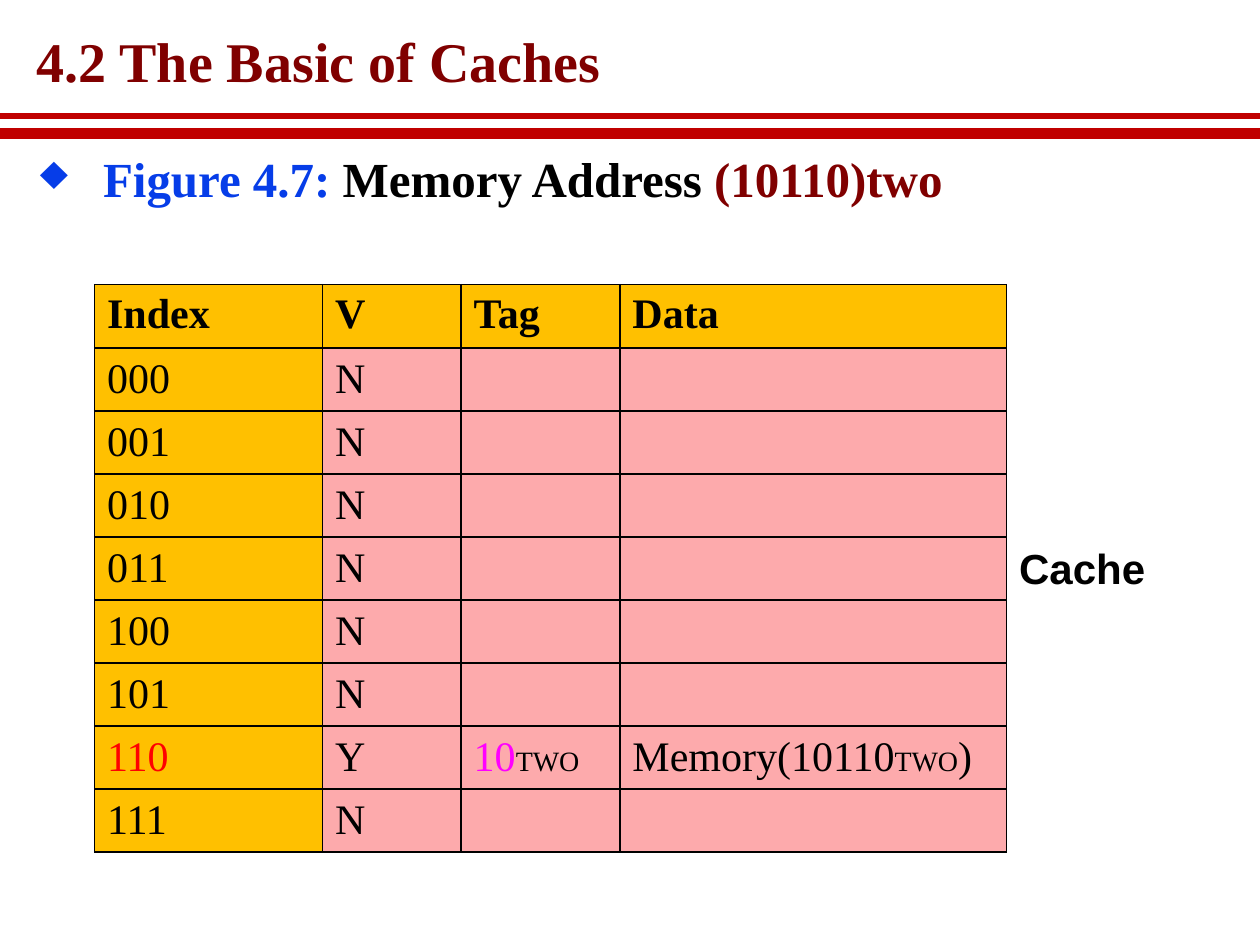
from lxml.etree import SubElement
from pptx import Presentation
from pptx.dml.color import RGBColor
from pptx.enum.shapes import MSO_CONNECTOR
from pptx.enum.text import MSO_ANCHOR, PP_ALIGN
from pptx.oxml.ns import qn
from pptx.util import Inches, Pt

SERIF, SANS = "Times New Roman", "Arial"
BLACK, MAROON, BLUE, RED, PINK = "000000", "800000", "063DE8", "FF0000", "FF00FF"
GOLD, ROSE, RULE = "FFC000", "FDAAAC", "C00000"

TITLE = "4.2 The Basic of Caches"
LEAD = [("Figure 4.7: ", BLUE), ("Memory Address ", BLACK), ("(10110)two", MAROON)]
RULES = [(0.92, 3), (1.06, 6)]
HEAD = ["Index", "V", "Tag", "Data"]
HIT = "110"
TAG = [("10", 24, PINK), ("TWO", 16, BLACK)]
DATA = [("Memory(10110", 24, BLACK), ("TWO", 16, BLACK), (")", 24, BLACK)]
COLS = [1.81, 1.1, 1.26, 3.07]
ROW = 0.5


def color(text):
    return RGBColor.from_string(text)


def add_run(para, text, size, tint=BLACK, bold=False, face=SERIF):
    run = para.add_run()
    run.text = text
    font = run.font
    font.name, font.size, font.bold = face, Pt(size), bold
    font.color.rgb = color(tint)


def add_box(slide, left, top, width, height, wrap):
    box = slide.shapes.add_textbox(*map(Inches, (left, top, width, height)))
    box.text_frame.word_wrap = wrap
    return box.text_frame.paragraphs[0]


def add_rule(slide, wide, top, weight):
    line = slide.shapes.add_connector(
        MSO_CONNECTOR.STRAIGHT, 0, Inches(top), wide, Inches(top))
    line.line.color.rgb = color(RULE)
    line.line.width = Pt(weight)
    SubElement(line._element.spPr, qn("a:effectLst"))


def set_edges(cell):
    props = cell._tc.get_or_add_tcPr()
    for spot, side in enumerate(("lnL", "lnR", "lnT", "lnB")):
        edge = SubElement(props, qn("a:" + side), w=str(Pt(1)))
        fill = SubElement(edge, qn("a:solidFill"))
        SubElement(fill, qn("a:srgbClr"), val=BLACK)
        props.remove(edge)
        props.insert(spot, edge)


def set_cell(cell, runs, fill, head):
    cell.fill.solid()
    cell.fill.fore_color.rgb = color(fill)
    cell.vertical_anchor = MSO_ANCHOR.TOP if head else MSO_ANCHOR.MIDDLE
    for text, size, tint in runs:
        add_run(cell.text_frame.paragraphs[0], text, size, tint, head)
    set_edges(cell)


def get_rows():
    rows = [[[(text, 24, BLACK)] for text in HEAD]]
    for num in range(8):
        key = f"{num:03b}"
        hit = key == HIT
        rows.append([
            [(key, 24, RED if hit else BLACK)],
            [("Y" if hit else "N", 24, BLACK)],
            TAG if hit else [],
            DATA if hit else [],
        ])
    return rows


def add_grid(slide):
    rows = get_rows()
    frame = slide.shapes.add_table(
        len(rows), len(COLS), Inches(0.75), Inches(2.26),
        Inches(sum(COLS)), Inches(ROW * len(rows)))
    table = frame.table
    for col, width in zip(table.columns, COLS):
        col.width = Inches(width)
    for r, row in enumerate(rows):
        for c, runs in enumerate(row):
            fill = GOLD if r == 0 or c == 0 else ROSE
            set_cell(table.cell(r, c), runs, fill, r == 0)


def add_title(slide):
    title = slide.shapes.title
    title.left, title.top, title.width, title.height = map(
        Inches, (0.22, 0.25, 4.67, 0.52))
    frame = title.text_frame
    frame.word_wrap = False
    frame.vertical_anchor = MSO_ANCHOR.TOP
    frame.margin_left = frame.margin_right = Inches(0.07)
    frame.margin_top = frame.margin_bottom = Inches(0.03)
    para = frame.paragraphs[0]
    para.alignment = PP_ALIGN.LEFT
    para.line_spacing = 0.87
    add_run(para, TITLE, 32, MAROON, True)


def add_lead(slide):
    para = add_box(slide, 0.22, 1.21, 9.5, 0.89, True)
    para.alignment = PP_ALIGN.JUSTIFY
    para.line_spacing = Pt(28)
    props = para._p.get_or_add_pPr()
    props.set("marL", str(Inches(0.5)))
    props.set("indent", str(-Inches(0.5)))
    SubElement(props, qn("a:buChar"), char="♦")
    for text, tint in LEAD:
        add_run(para, text, 28, tint, True)


def main():
    deck = Presentation()
    deck.slide_width, deck.slide_height = Inches(10), Inches(7.5)
    slide = deck.slides.add_slide(deck.slide_layouts[5])
    add_title(slide)
    for top, weight in RULES:
        add_rule(slide, deck.slide_width, top, weight)
    add_lead(slide)
    add_grid(slide)
    para = add_box(slide, 7.99, 4.26, 1.31, 0.5, False)
    add_run(para, "Cache", 24, BLACK, True, SANS)
    deck.save("out.pptx")


if __name__ == "__main__":
    main()
